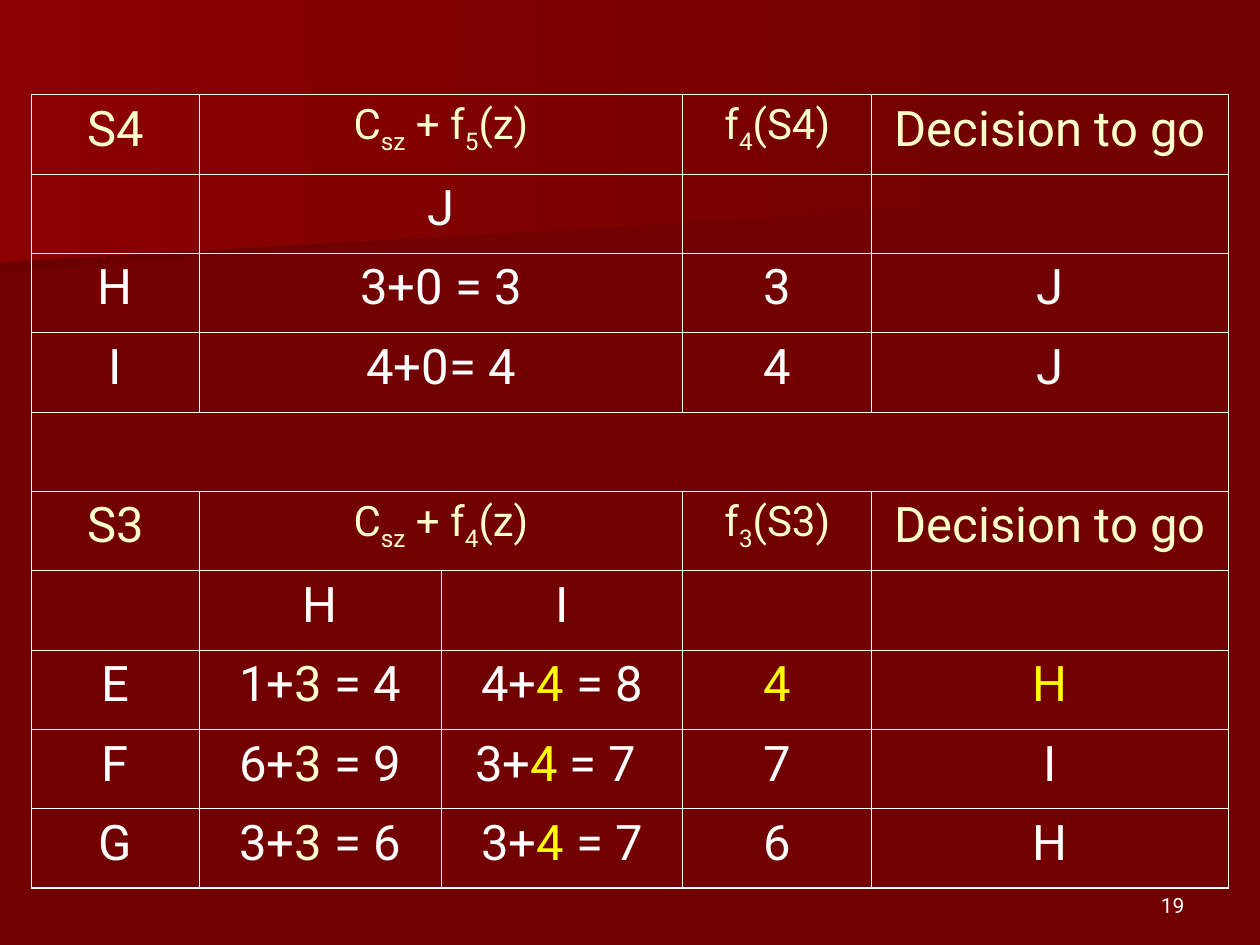
from dataclasses import dataclass

from pptx import Presentation
from pptx.dml.color import RGBColor as Rgb
from pptx.enum.text import MSO_ANCHOR as Anchor, PP_ALIGN as Align
from pptx.oxml import parse_xml
from pptx.oxml.ns import nsdecls
from pptx.util import Inches, Pt


@dataclass(frozen=True)
class Theme:
    font: str = "Roboto"
    back: str = "720000"
    shade: str = "6B0000"
    glow: str = "8C0000"
    white: str = "FFFFFF"
    cream: str = "FFFFCC"
    gold: str = "FFFF00"
    body: int = 28
    term: int = 24
    note: int = 12
    thin: float = 0.45
    thick: float = 1.08


THEME = Theme()
WIDTHS = [1.33, 1.92, 1.92, 1.5, 2.83]
ROW = 0.63


@dataclass(frozen=True)
class Part:
    """One run of text and its look."""
    text: str
    color: str = THEME.white
    size: int = THEME.body
    sub: bool = False


def head(text):
    return [Part(text, THEME.cream)]


def term(*texts):
    """Formula in which every second text is a subscript."""
    return [Part(text, THEME.cream, THEME.term, i % 2 == 1)
            for i, text in enumerate(texts)]


def plain(text):
    return [Part(text)]


def gold(text):
    return [Part(text, THEME.gold)]


def total(cost, best, result, color):
    return [Part(f"{cost}+"), Part(best, color), Part(f" = {result}")]


def via_h(cost, result):
    return total(cost, "3", result, THEME.cream)


def via_i(cost, result):
    return total(cost, "4", result, THEME.gold)


# None marks a cell that the cell to its left spans; [] is an empty cell.
ROWS = [
    [head("S4"), term("C", "sz", " + f", "5", "(z)"), None,
     term("f", "4", "(S4)"), head("Decision to go")],
    [[], plain("J"), None, [], []],
    [plain("H"), plain("3+0 = 3"), None, plain("3"), plain("J")],
    [plain("I"), plain("4+0= 4"), None, plain("4"), plain("J")],
    [[], None, None, None, None],
    [head("S3"), term("C", "sz", " + f", "4", "(z)"), None,
     term("f", "3", "(S3)"), head("Decision to go")],
    [[], plain("H"), plain("I"), [], []],
    [plain("E"), via_h(1, 4), via_i(4, 8), gold("4"), gold("H")],
    [plain("F"), via_h(6, 9), via_i(3, "7 "), plain("7"), plain("I")],
    [plain("G"), via_h(3, 6), via_i(3, 7), plain("6"), plain("H")],
]


def write(para, parts, align):
    para.alignment = align
    for part in parts:
        run = para.add_run()
        run.text = part.text
        run.font.name = THEME.font
        run.font.size = Pt(part.size)
        run.font.color.rgb = Rgb.from_string(part.color)
        if part.sub:
            run._r.get_or_add_rPr().set("baseline", "-25000")


def add_band(slide, points, color):
    """Backdrop area that fades from color into the background."""
    start, *rest = [(Inches(x), Inches(y)) for x, y in points]
    pen = slide.shapes.build_freeform(*start)
    pen.add_line_segments(rest, close=True)
    band = pen.convert_to_shape()
    band.shadow.inherit = False
    band.line.fill.background()
    band.fill.gradient()
    band.fill.gradient_angle = 0
    for stop, tone in zip(band.fill.gradient_stops, (color, THEME.back)):
        stop.color.rgb = Rgb.from_string(tone)


def add_number(slide, text):
    box = slide.shapes.add_textbox(
        Inches(7.17), Inches(6.83), Inches(2.33), Inches(0.5))
    frame = box.text_frame
    frame.word_wrap = True
    frame.vertical_anchor = Anchor.BOTTOM
    write(frame.paragraphs[0], [Part(text, size=THEME.note)], Align.RIGHT)


def set_border(cell, outer):
    """Draw four sides, thick where the side is on the table's edge."""
    props = cell._tc.get_or_add_tcPr()
    for i, side in enumerate("LRTB"):
        width = Pt(THEME.thick if side in outer else THEME.thin)
        props.insert(i, parse_xml(
            f'<a:ln{side} {nsdecls("a")} w="{width}"><a:solidFill>'
            f'<a:srgbClr val="{THEME.white}"/></a:solidFill></a:ln{side}>'))


def fill_cell(cell, parts):
    cell.fill.background()
    if parts:
        para = cell.text_frame.paragraphs[0]
        para.space_before = Pt(6 if parts[0].size == THEME.term else 7)
        write(para, parts, Align.CENTER)


def add_grid(slide):
    frame = slide.shapes.add_table(
        len(ROWS), len(WIDTHS), Inches(0.25), Inches(0.75),
        Inches(sum(WIDTHS)), Inches(ROW * len(ROWS)))
    table = frame.table
    table.first_row = table.horz_banding = False
    for col, width in zip(table.columns, WIDTHS):
        col.width = Inches(width)
    for r, row in enumerate(ROWS):
        table.rows[r].height = Inches(ROW)
        for c, parts in enumerate(row):
            cell = table.cell(r, c)
            end = c
            while end + 1 < len(row) and row[end + 1] is None:
                end += 1
            if parts is not None and end > c:
                cell.merge(table.cell(r, end))
            fill_cell(cell, parts)
            edges = {"L": c == 0, "R": end == len(row) - 1,
                     "T": r == 0, "B": r == len(ROWS) - 1}
            set_border(cell, [side for side, on in edges.items() if on])


def main():
    deck = Presentation()
    deck.slide_width, deck.slide_height = Inches(10), Inches(7.5)
    slide = deck.slides.add_slide(deck.slide_layouts[6])
    back = slide.background.fill
    back.solid()
    back.fore_color.rgb = Rgb.from_string(THEME.back)
    add_band(slide, [(7.78, 1.53), (0, 2.17), (0, 1.01), (7.79, 1.01),
                     (7.78, 1.28)], THEME.shade)
    add_band(slide, [(7.92, 1.62), (0, 2.08), (0, 0), (7.92, 0)], THEME.glow)
    add_number(slide, "19")
    add_grid(slide)
    deck.save("out.pptx")


if __name__ == "__main__":
    main()
